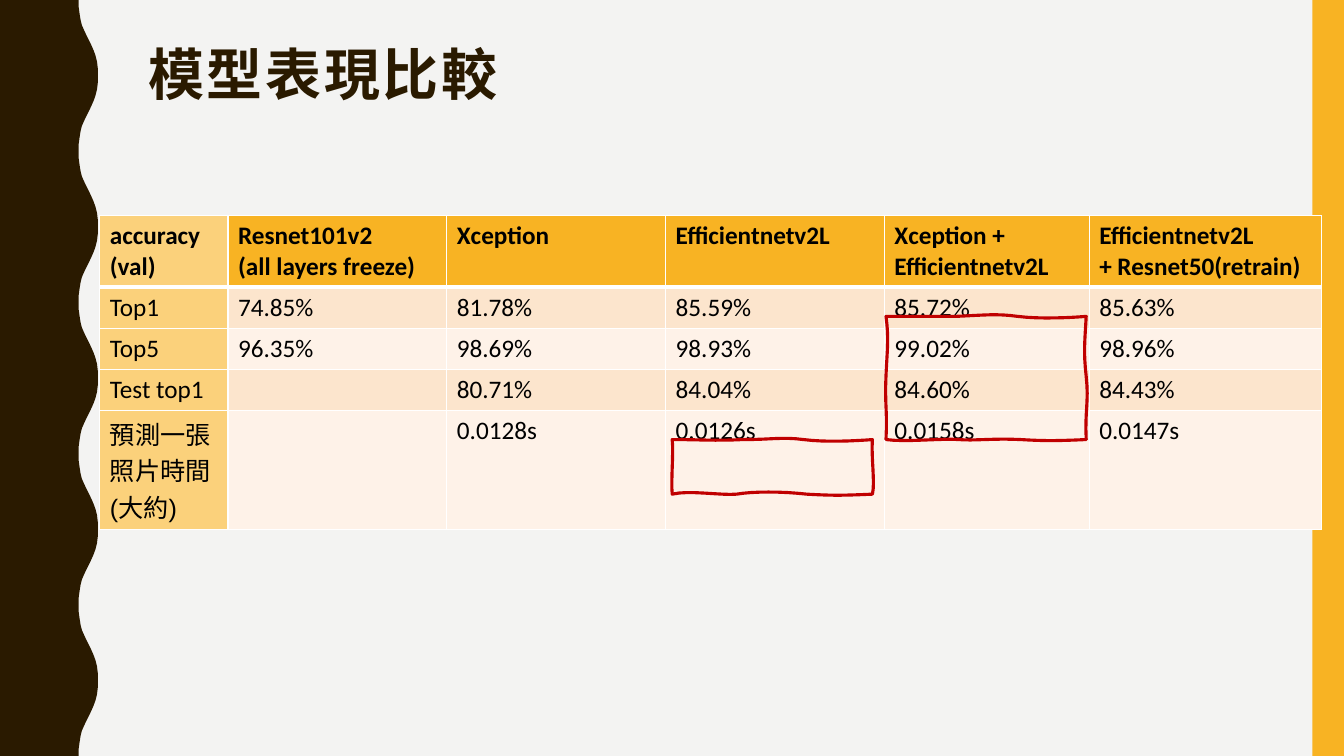
from lxml.etree import SubElement
from pptx import Presentation
from pptx.dml.color import RGBColor
from pptx.enum.shapes import MSO_SHAPE
from pptx.enum.text import MSO_ANCHOR, MSO_AUTO_SIZE, PP_ALIGN
from pptx.oxml.ns import qn
from pptx.util import Pt

WIDTH, HEIGHT = 960, 540
BROWN, AMBER, LIGHT_AMBER = "2A1A00", "F8B323", "FBD17B"
BANDS = ("FEF2E8", "FCE5CD")
WAVE_LENGTH = 108
HALF_WAVE = [(56.2, 0), (56.2, 5), (56.9, 10), (57.6, 14.4), (58.5, 18),
             (59.8, 21), (61.2, 24), (62.7, 27), (64.2, 30), (65.6, 33),
             (66.9, 36), (68.2, 39.6), (69.3, 44), (69.9, 49), (70, 54)]
COLUMN_WIDTHS = [91.6, 156.3, 156.3, 156.3, 146.3, 165.8]
ROW_HEIGHT = 29.3
ROWS = [
    ["accuracy\n(val)", "Resnet101v2\n(all layers freeze)", "Xception",
     "Efficientnetv2L", "Xception + Efficientnetv2L",
     "Efficientnetv2L\n+ Resnet50(retrain)"],
    ["Top1", "74.85%", "81.78%", "85.59%", "85.72%", "85.63%"],
    ["Top5", "96.35%", "98.69%", "98.93%", "99.02%", "98.96%"],
    ["Test top1", "", "80.71%", "84.04%", "84.60%", "84.43%"],
    ["預測一張照片時間\n(大約)", "", "0.0128s", "0.0126s", "0.0158s", "0.0147s"],
]
ACCURACY_FRAME = [
    (22, 0, 29, 0, 50, 0), (72, -1, 79, -2, 94, 0), (110, 2, 131, 1, 143, 0),
    (142, 18, 141, 25, 143, 43), (145, 62, 142, 66, 143, 88),
    (120, 89, 114, 89, 96, 88), (76, 87, 63, 89, 52, 88),
    (41, 87, 14, 90, 0, 88), (1, 66, -1, 63, 0, 42), (1, 22, 2, 15, 0, 0)]
TIME_FRAME = [
    (22, 0, 29, 1, 50, 0), (72, 0, 78, -2, 94, 0), (109, 2, 130, 1, 143, 0),
    (142, 13, 145, 30, 143, 39), (120, 40, 115, 40, 96, 39),
    (79, 37, 57, 37, 46, 39), (35, 40, 12, 36, 0, 39), (-1, 30, 1, 10, 0, 0)]


def color(hex_string):
    """Return the colour for a hex string."""
    return RGBColor.from_string(hex_string)


def paint(shape, hex_string):
    """Give a shape a plain fill without line or shadow."""
    shape.shadow.inherit = False
    shape.fill.solid()
    shape.fill.fore_color.rgb = color(hex_string)
    shape.line.fill.background()


def add_outline(slide, points):
    """Add a closed outline through points given in points."""
    corners = [(Pt(x), Pt(y)) for x, y in points]
    builder = slide.shapes.build_freeform(*corners[0])
    builder.add_line_segments(corners[1:], close=True)
    return builder.convert_to_shape()


def add_run(paragraph, text, font_name, size, bold, hex_string):
    """Add one formatted run to a paragraph."""
    run = paragraph.add_run()
    run.text = text
    run.font.name = font_name
    run.font.size = Pt(size)
    run.font.bold = bold
    run.font.color.rgb = color(hex_string)
    return run


def add_wavy_edge(slide, left, top, height):
    """Add the dark band whose right edge is a wave."""
    wave = HALF_WAVE + [(x, WAVE_LENGTH - y) for x, y in HALF_WAVE[-2:0:-1]]
    edge = [(left + x, top + start + y)
            for start in range(0, height, WAVE_LENGTH) for x, y in wave]
    end = (left + HALF_WAVE[0][0], top + height)
    paint(add_outline(slide, [(left, top), *edge, end, (left, top + height)]),
          BROWN)


def add_side_bar(slide, left, top, width, height):
    """Add the amber bar at the right edge."""
    bar = slide.shapes.add_shape(MSO_SHAPE.RECTANGLE, Pt(left), Pt(top),
                                 Pt(width), Pt(height))
    paint(bar, AMBER)


def fill_title(slide, text, left, top, width, height):
    """Place and format the slide title."""
    title = slide.shapes.title
    title.left, title.top = Pt(left), Pt(top)
    title.width, title.height = Pt(width), Pt(height)
    frame = title.text_frame
    frame.word_wrap = True
    frame.auto_size = MSO_AUTO_SIZE.NONE
    frame.vertical_anchor = MSO_ANCHOR.TOP
    paragraph = frame.paragraphs[0]
    paragraph.alignment = PP_ALIGN.LEFT
    paragraph.line_spacing = 0.9
    run = add_run(paragraph, text, "Arial", 40, True, BROWN)
    run.font._element.set("spc", "200")


def set_borders(cell, widths):
    """Draw white cell borders, with a width for each side."""
    properties = cell._tc.get_or_add_tcPr()
    for index, (side, width) in enumerate(widths.items()):
        line = properties.makeelement(qn("a:" + side), {"w": str(Pt(width))})
        properties.insert(index, line)
        fill = SubElement(line, qn("a:solidFill"))
        SubElement(fill, qn("a:srgbClr"), {"val": "FFFFFF"})


def fill_cell(cell, text, row, column):
    """Write and style one cell by its place in the table."""
    header = row == 0
    cell.fill.solid()
    fill = LIGHT_AMBER if column == 0 else AMBER if header else BANDS[row % 2]
    cell.fill.fore_color.rgb = color(fill)
    set_borders(cell, {"lnL": 1, "lnR": 1, "lnT": 3 if row == 1 else 1,
                       "lnB": 3 if header else 1})
    if not text:
        return
    font_name = "Calibri" if text.isascii() else "Arial"
    frame = cell.text_frame
    for index, line in enumerate(text.split("\n")):
        paragraph = frame.add_paragraph() if index else frame.paragraphs[0]
        add_run(paragraph, line, font_name, 18, header, "000000")


def add_comparison_table(slide, left, top):
    """Add the table of model results."""
    table = slide.shapes.add_table(
        len(ROWS), len(COLUMN_WIDTHS), Pt(left), Pt(top),
        Pt(sum(COLUMN_WIDTHS)), Pt(ROW_HEIGHT * len(ROWS))).table
    table.first_col = True
    for column, width in zip(table.columns, COLUMN_WIDTHS):
        column.width = Pt(width)
    for row, texts in enumerate(ROWS):
        table.rows[row].height = Pt(ROW_HEIGHT)
        for column, text in enumerate(texts):
            fill_cell(table.cell(row, column), text, row, column)


def trace_curves(curves, steps=8):
    """Return points along joined cubic curves that start at zero."""
    x0, y0 = 0, 0
    points = [(x0, y0)]
    for x1, y1, x2, y2, x3, y3 in curves:
        for step in range(1, steps + 1):
            t = step / steps
            u = 1 - t
            a, b, c, d = u ** 3, 3 * u * u * t, 3 * u * t * t, t ** 3
            points.append((a * x0 + b * x1 + c * x2 + d * x3,
                           a * y0 + b * y1 + c * y2 + d * y3))
        x0, y0 = x3, y3
    return points[:-1]


def add_sketched_frame(slide, curves, left, top):
    """Add a red hand-drawn frame around a result."""
    frame = add_outline(slide, [(left + x, top + y)
                                for x, y in trace_curves(curves)])
    frame.shadow.inherit = False
    frame.fill.background()
    frame.line.color.rgb = color("C00000")
    frame.line.width = Pt(2.25)


def build_comparison_slide(presentation):
    """Build the slide that compares the models."""
    slide = presentation.slides.add_slide(presentation.slide_layouts[5])
    slide.background.fill.solid()
    slide.background.fill.fore_color.rgb = color("F3F3F2")
    add_wavy_edge(slide, 0, 0, HEIGHT)
    add_side_bar(slide, 937.5, 0, 22.5, HEIGHT)
    fill_title(slide, "模型表現比較", 98.6, 30.2, 801.4, 79.2)
    add_comparison_table(slide, 71.3, 154)
    add_sketched_frame(slide, ACCURACY_FRAME, 632.9, 226)
    add_sketched_frame(slide, TIME_FRAME, 480.2, 314)


def main():
    """Create and save the presentation."""
    presentation = Presentation()
    presentation.slide_width = Pt(WIDTH)
    presentation.slide_height = Pt(HEIGHT)
    build_comparison_slide(presentation)
    presentation.save("out.pptx")


if __name__ == "__main__":
    main()
